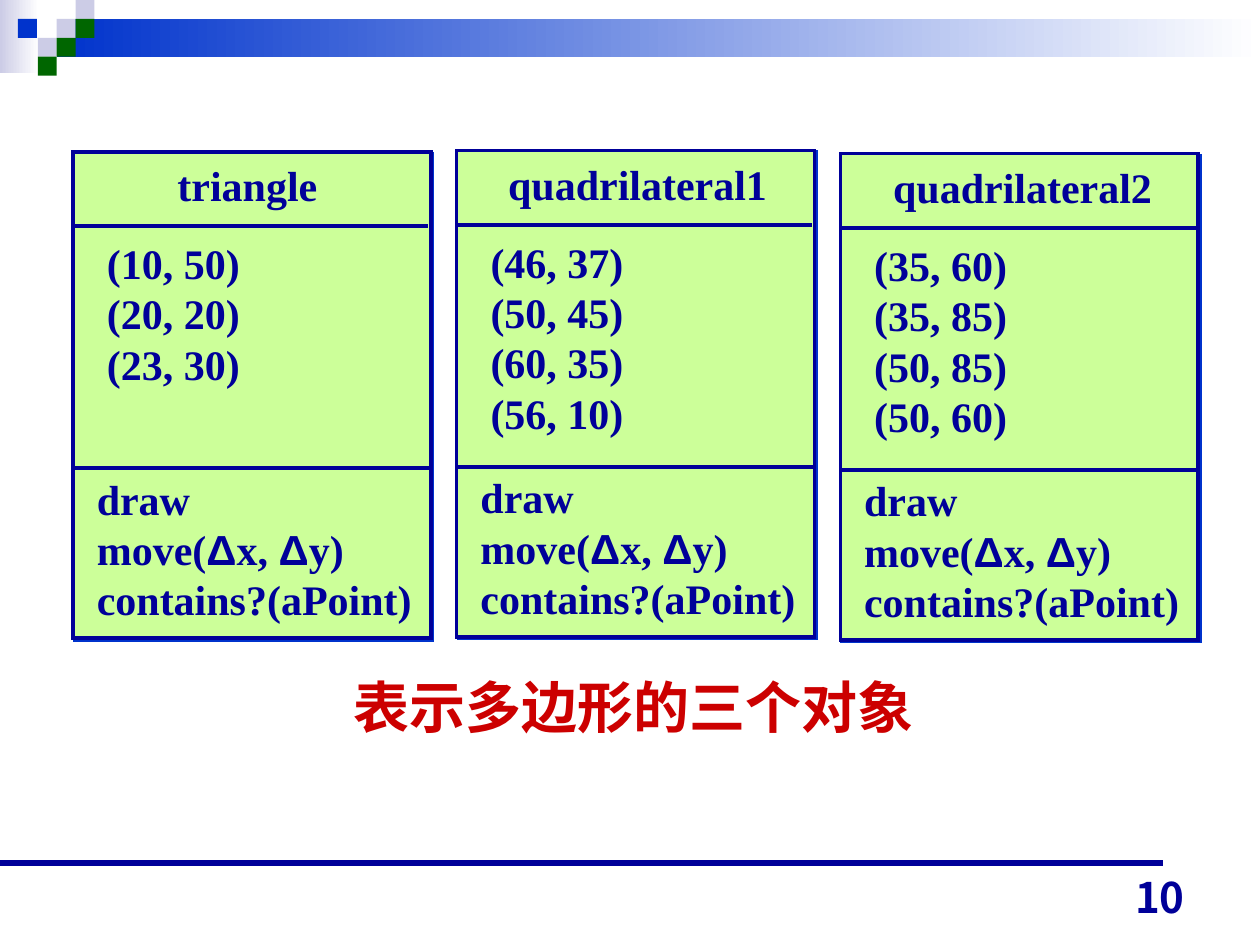
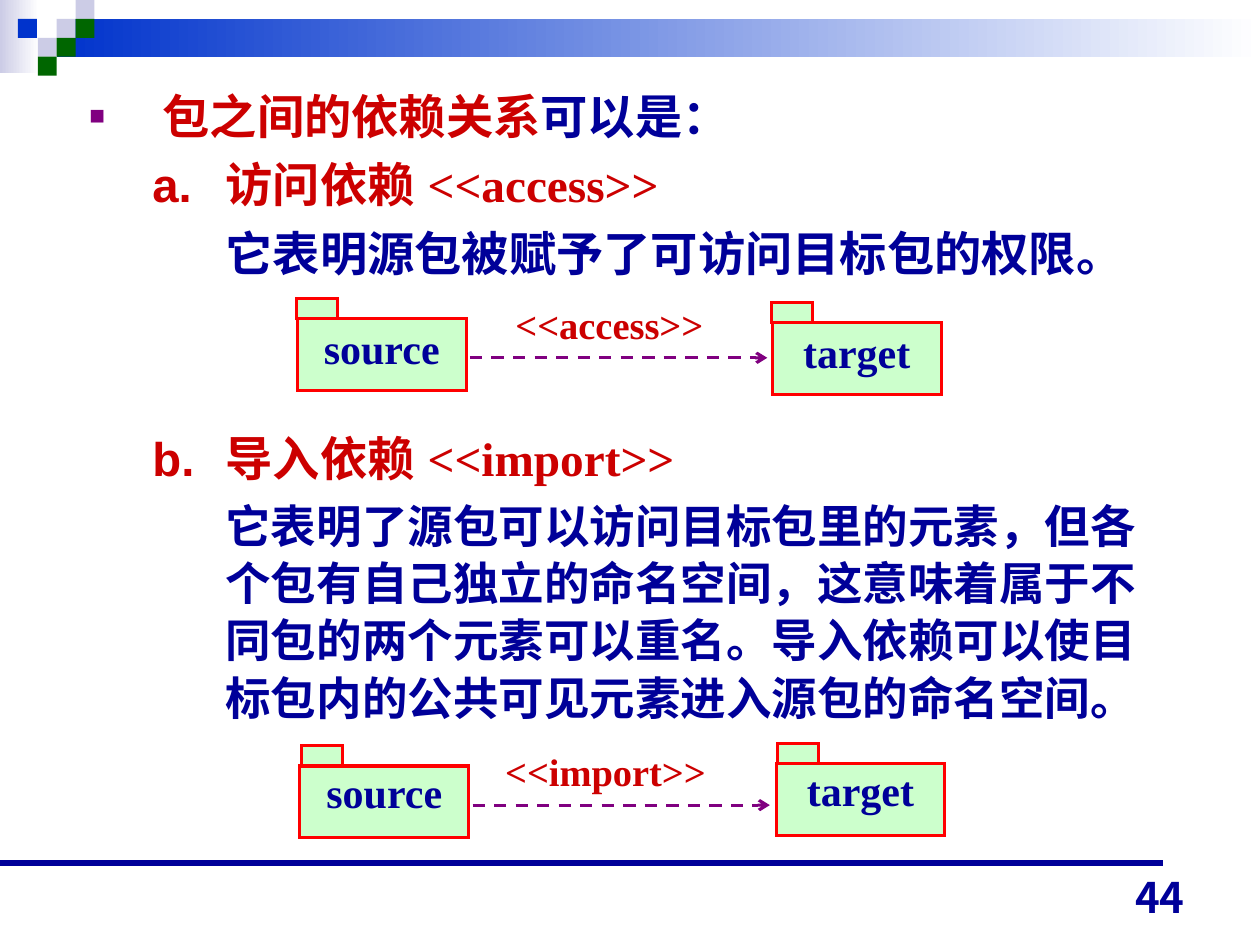
from dataclasses import dataclass
from itertools import groupby
from typing import NamedTuple, Optional

from lxml import etree
from pptx import Presentation
from pptx import util as u
from pptx.dml.color import RGBColor
from pptx.enum import dml, shapes, text
from pptx.oxml import ns


@dataclass(frozen=True)
class Theme:
    navy: str = "000099"
    red: str = "CC0000"
    blue: str = "0033CC"
    green: str = "006600"
    lavender: str = "CCCCE6"
    white: str = "FFFFFF"
    purple: str = "800080"
    class_fill: str = "CCFF99"
    package_fill: str = "CCFFCC"
    package_line: str = "FF0000"
    serif: str = "Times New Roman"
    sans: str = "Arial"
    cjk: str = "Noto Sans CJK JP"
    title: float = 32
    body: float = 27
    detail: float = 26
    label: float = 24
    stereotype: float = 22


T = Theme()
WIDTH, HEIGHT = u.Inches(10), u.Inches(7.5)
COL, ROW = WIDTH / 100, HEIGHT / 75
PIXEL = 1.5
PIXELS = [(3, 1, T.lavender), (4, 0, T.lavender), (4, 1, T.green), (2, 2, T.lavender),
          (0.95, 1, T.blue), (3, 2, T.green), (2, 3, T.green)]


class Box(NamedTuple):
    x: float
    y: float
    w: float
    h: float

    def emu(self) -> tuple:
        return tuple(int(n) for n in (self.x * COL, self.y * ROW, self.w * COL, self.h * ROW))


class Style(NamedTuple):
    size: float
    color: str
    font: str = T.serif


class ClassCard(NamedTuple):
    name: str
    top: float
    name_dx: float
    points: list


class Package(NamedTuple):
    name: str
    x: float
    y: float


class Dependency(NamedTuple):
    stereotype: str
    label: Box
    packages: list
    arrow_x: float
    arrow_y: float
    tab_dx: float
    name_dy: float


class Item(NamedTuple):
    segments: list
    left: float
    hanging: bool
    before: float
    level: int = 1
    marker: Optional[tuple] = None


LABEL = Style(T.label, T.navy)
RED_BODY = Style(T.body, T.red)
RED_HEAD = Style(T.body, T.red, T.cjk)
NAVY_BODY = Style(T.body, T.navy)
METHODS = ["draw", "move(Δx, Δy)", "contains?(aPoint)"]

CARDS = [
    ClassCard("triangle", 12.05, 7.3, ["(10, 50)", "(20, 20)", "(23, 30)"]),
    ClassCard("quadrilateral1", 11.95, 3.1, ["(46, 37)", "(50, 45)", "(60, 35)", "(56, 10)"]),
    ClassCard("quadrilateral2", 12.2, 3.2, ["(35, 60)", "(35, 85)", "(50, 85)", "(50, 60)"]),
]

DEPENDENCIES = [
    Dependency("<<access>>", Box(38.9, 23.4, 17.9, 4.7),
               [Package("source", 23.6, 25.3), Package("target", 61.3, 25.6)],
               37.3, 28.4, -0.1, -0.2),
    Dependency("<<import>>", Box(38.1, 58.9, 18.9, 4.7),
               [Package("source", 23.8, 60.8), Package("target", 61.6, 60.6)],
               37.5, 63.9, 0.1, -0.45),
]

SQUARE = ("buChar", {"char": "■"}, T.purple)


def letter(start: int) -> tuple:
    return ("buAutoNum", {"type": "alphaLcPeriod", "startAt": str(start)}, T.red)


ITEMS = [
    Item([("包之间的依赖关系", RED_BODY), ("可以是：", NAVY_BODY)], 0.58, True, 0, 0, SQUARE),
    Item([("访问依赖", RED_HEAD), (" <<access>>", RED_BODY)], 1.08, True, 5, 1, letter(1)),
    Item([("它表明源包被赋予了可访问目标包的权限。", NAVY_BODY)], 1.08, False, 5),
    Item([("导入依赖", RED_HEAD), (" <<import>>", RED_BODY)], 1.08, True, 83.5, 1, letter(2)),
    Item([("它表明了源包可以访问目标包里的元素，但各个包有自己独立的命名空间，"
           "这意味着属于不同包的两个元素可以重名。导入依赖可以使目标包内的公共可见元素"
           "进入源包的命名空间。", Style(T.detail, T.navy))], 1.08, False, 5),
]


def sub(parent, tag: str, **attrs: str):
    return etree.SubElement(parent, ns.qn(f"a:{tag}"), attrs)


def rgb(color: str) -> RGBColor:
    return RGBColor.from_string(color)


def style_run(r, style: Style) -> None:
    f = r.font
    f.size, f.bold, f.name = u.Pt(style.size), True, style.font
    f.color.rgb = rgb(style.color)
    latin = r._r.rPr.find(ns.qn("a:latin"))
    latin.addnext(etree.Element(ns.qn("a:ea"), typeface=T.sans))


def write_line(p, line: str, style: Style) -> None:
    for is_delta, chars in groupby(line, lambda c: c == "Δ"):
        r = p.add_run()
        r.text = "".join(chars)
        style_run(r, style._replace(font=T.sans) if is_delta else style)


def add_label(s, box: Box, lines: list, style: Style, align=text.PP_ALIGN.LEFT,
              anchor=text.MSO_ANCHOR.TOP) -> None:
    tf = s.shapes.add_textbox(*box.emu()).text_frame
    tf.word_wrap, tf.vertical_anchor = True, anchor
    for i, line in enumerate(lines):
        p = tf.add_paragraph() if i else tf.paragraphs[0]
        p.alignment = align
        write_line(p, line, style)


def add_rect(s, box: Box, fill: str, line: Optional[str] = None, weight: float = 1,
             fade: bool = False):
    sp = s.shapes.add_shape(shapes.MSO_SHAPE.RECTANGLE, *box.emu())
    sp.shadow.inherit = False
    if fade:
        sp.fill.gradient()
        sp.fill.gradient_angle = 180
        for stop, color, position in zip(sp.fill.gradient_stops, (T.white, fill), (0, 1)):
            stop.color.rgb, stop.position = rgb(color), position
    else:
        sp.fill.solid()
        sp.fill.fore_color.rgb = rgb(fill)
    if line:
        sp.line.color.rgb, sp.line.width = rgb(line), u.Pt(weight)
        sub(sp._element.spPr.find(ns.qn("a:ln")), "miter", lim="800000")
    else:
        sp.line.fill.background()
    return sp


def add_rule(s, x1: float, x2: float, y: float, color: str, weight: float):
    start, end = Box(x1, y, 0, 0).emu(), Box(x2, y, 0, 0).emu()
    cx = s.shapes.add_connector(shapes.MSO_CONNECTOR.STRAIGHT, *start[:2], *end[:2])
    cx.line.color.rgb, cx.line.width = rgb(color), u.Pt(weight)
    sub(cx._element.spPr, "effectLst")
    return cx


def add_frame(s, number: int) -> None:
    add_rect(s, Box(0, 0, 3.1, 5.8), T.lavender, fade=True)
    add_rect(s, Box(3 * PIXEL, PIXEL, 95.5, 2 * PIXEL), T.blue, fade=True)
    for col, row, color in PIXELS:
        add_rect(s, Box(col * PIXEL, row * PIXEL, PIXEL, PIXEL), color)
    add_rule(s, 0, 92.3, 68.5, T.navy, 3.5)
    add_label(s, Box(71.7, 68.7, 23.3, 5), [str(number)], Style(T.label, T.navy, T.cjk),
              text.PP_ALIGN.RIGHT, text.MSO_ANCHOR.BOTTOM)


def add_class_card(s, card: ClassCard, left: float) -> None:
    width, top = 28.4, card.top
    sp = add_rect(s, Box(left, top, width, 38.6), T.class_fill, T.navy, 2)
    effects = sp._element.spPr.find(ns.qn("a:effectLst"))
    shadow = sub(effects, "outerShdw", dist=str(u.Pt(1.4)), dir="2700000", algn="ctr",
                 rotWithShape="0")
    sub(shadow, "srgbClr", val=T.blue)
    add_label(s, Box(left + 0.9, top + 25, 27.4, 13), METHODS, LABEL)
    add_rule(s, left + 0.1, left + width, top + 25.1, T.navy, 2)
    add_label(s, Box(left + 1.7, top + 6.3, 20, 17), card.points, LABEL)
    add_rule(s, left, left + width - 0.2, top + 5.9, T.navy, 2.25)
    add_label(s, Box(left + card.name_dx, top + 0.1, width - card.name_dx, 5), [card.name],
              LABEL)


def add_dependency(s, d: Dependency) -> None:
    for pkg in d.packages:
        body = Box(pkg.x, pkg.y, 13.4, 5.7)
        tab = Box(pkg.x + d.tab_dx, pkg.y - 1.6, 3.3, 1.6)
        for part in (body, tab):
            add_rect(s, part, T.package_fill, T.package_line, 1.75)
        add_label(s, body._replace(y=pkg.y + d.name_dy, h=5), [pkg.name], LABEL,
                  text.PP_ALIGN.CENTER)
    arrow = add_rule(s, d.arrow_x, d.arrow_x + 23.6, d.arrow_y, T.purple, 1.75)
    arrow.line.dash_style = dml.MSO_LINE.DASH
    sub(arrow._element.spPr.find(ns.qn("a:ln")), "tailEnd", type="arrow")
    add_label(s, d.label, [d.stereotype], Style(T.stereotype, T.red), text.PP_ALIGN.RIGHT)


def write_item(p, item: Item) -> None:
    p.level, p.line_spacing, p.space_before = item.level, 1.05, u.Pt(item.before)
    pPr = p._p.get_or_add_pPr()
    pPr.set("marL", str(u.Inches(item.left)))
    pPr.set("indent", str(u.Inches(-0.58 if item.hanging else 0)))
    if item.marker:
        tag, attrs, color = item.marker
        sub(sub(pPr, "buClr"), "srgbClr", val=color)
        sub(pPr, "buSzPct", val="55000" if tag == "buChar" else "100000")
        sub(pPr, "buFont", typeface=T.sans if tag == "buChar" else T.cjk)
        sub(pPr, tag, **attrs)
    else:
        sub(pPr, "buNone")
    for words, style in item.segments:
        write_line(p, words, style)


def place(sp, box: Box):
    sp.left, sp.top, sp.width, sp.height = box.emu()
    sp.text_frame.auto_size = text.MSO_AUTO_SIZE.NONE
    return sp.text_frame


def build_polygons(prs) -> None:
    s = prs.slides.add_slide(prs.slide_layouts[5])
    add_frame(s, 10)
    tf = place(s.shapes.title, Box(5.3, 50.2, 90, 11.7))
    tf.text = "表示多边形的三个对象"
    tf.vertical_anchor = text.MSO_ANCHOR.MIDDLE
    p = tf.paragraphs[0]
    p.alignment = text.PP_ALIGN.CENTER
    style_run(p.runs[0], Style(T.title, T.red, T.sans))
    for i, card in enumerate(CARDS):
        add_class_card(s, card, 5.8 + 30.45 * i)


def build_packages(prs) -> None:
    s = prs.slides.add_slide(prs.slide_layouts[1])
    title = s.shapes.title._element
    title.getparent().remove(title)
    add_frame(s, 44)
    tf = place(s.placeholders[1], Box(6.1, 6.2, 87.1, 55))
    for i, item in enumerate(ITEMS):
        write_item(tf.add_paragraph() if i else tf.paragraphs[0], item)
    for dependency in DEPENDENCIES:
        add_dependency(s, dependency)


def main() -> None:
    prs = Presentation()
    prs.slide_width, prs.slide_height = WIDTH, HEIGHT
    build_polygons(prs)
    build_packages(prs)
    prs.save("out.pptx")


if __name__ == "__main__":
    main()
